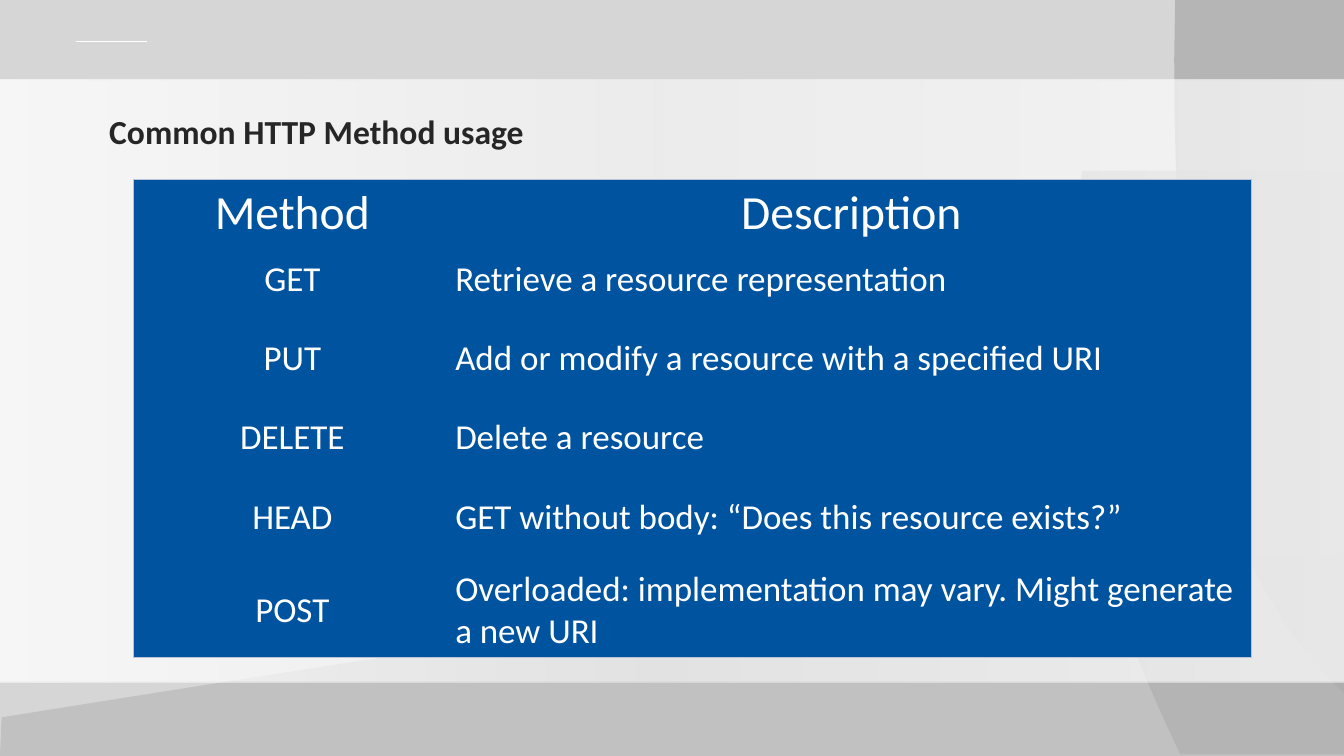
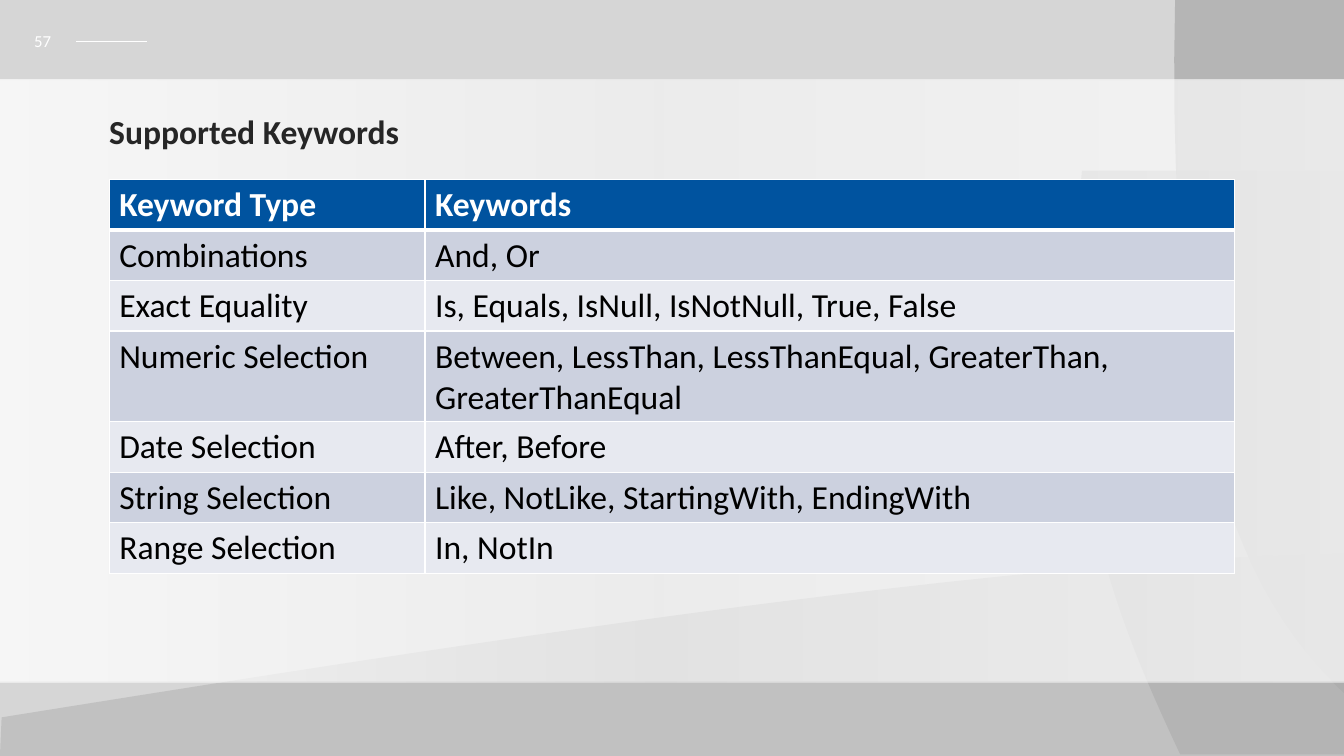
"""Build two slides with styled tables on a shared geometric layout."""
import pptx
import pptx.dml.color
import pptx.enum.shapes
import pptx.enum.text
import pptx.oxml
import pptx.oxml.ns
import pptx.util

RGBColor = pptx.dml.color.RGBColor
PP_ALIGN = pptx.enum.text.PP_ALIGN
MIDDLE = pptx.enum.text.MSO_ANCHOR.MIDDLE
TOP = pptx.enum.text.MSO_ANCHOR.TOP

WHITE = RGBColor(0xFF, 0xFF, 0xFF)
BLACK = RGBColor(0, 0, 0)
TITLE_INK = RGBColor(0x26, 0x26, 0x26)
BACKDROP = RGBColor(0xD6, 0xD6, 0xD6)
FACET = RGBColor(0xAD, 0xAD, 0xAD)
BLUE = RGBColor(0x00, 0x53, 0x9F)
EDGE = RGBColor(0xBD, 0xC3, 0xD6)
BANDS = (RGBColor(0xE7, 0xE9, 0xF0), RGBColor(0xCC, 0xD1, 0xDF))

FONT = "Calibri"
COLUMNS, ROWS = 160, 90
UNIT = pptx.util.Inches(7.5) / ROWS
NO_TABLE_STYLE = "{2D5ABB26-0587-4C30-8999-92F81FD0307C}"
TITLE_BOX = (13, 9.5, 134, 11.9)
NUMBER_BOX = (2.9, 2.5, 7.4, 4.8)
BAND_BOX = (0, 9.5, COLUMNS, 71.8)
BAND_STOPS = ((0, 71), (39, 58), (51, 53), (100, 79))

FACETS = (
    (80, [(160.2, -0.2)],
     [(160.3, 27.4), (160.3, 55.1), (160.3, 82.8)],
     [(150.7, 73.8), (138.5, 57.1), (139.9, 0)]),
    (60, [(160, 20.3)], [(128.8, 20.3)],
     [(125.6, 55), (131.5, 70.6), (140.5, 89.8)], [(160.2, 89.8)]),
    (50, [(160.6, 65.8)],
     [(118.3, 66.8), (58.7, 76), (0.2, 85.4)], [(0, 90)], [(160.2, 90.2)]),
)

HTTP_METHODS = (
    ("Method", "Description"),
    ("GET", "Retrieve a resource representation"),
    ("PUT", "Add or modify a resource with a specified URI"),
    ("DELETE", "Delete a resource"),
    ("HEAD", "GET without body: “Does this resource exists?”"),
    ("POST", "Overloaded: implementation may vary. Might generate a new URI"),
)
KEYWORDS = (
    ("Keyword Type", "Keywords"),
    ("Combinations", "And, Or"),
    ("Exact Equality", "Is, Equals, IsNull, IsNotNull, True, False"),
    ("Numeric Selection",
     "Between, LessThan, LessThanEqual, GreaterThan, GreaterThanEqual"),
    ("Date Selection", "After, Before"),
    ("String Selection", "Like, NotLike, StartingWith, EndingWith"),
    ("Range Selection", "In, NotIn"),
)


def grid(*lengths):
    """Convert grid lengths to slide lengths."""
    return [pptx.util.Emu(round(length * UNIT)) for length in lengths]


def add_xml(parent, tag, index=None, **attributes):
    """Add a drawing element to its parent, at the end unless an index is given."""
    element = pptx.oxml.parse_xml(f"<{tag} {pptx.oxml.ns.nsdecls('a')}/>")
    for name, value in attributes.items():
        element.set(name, str(value))
    parent.insert(len(parent) if index is None else index, element)
    return element


def add_color(parent, color, alpha=None):
    """Add a colour, optionally with a percentage of opacity."""
    element = add_xml(parent, "a:srgbClr", val=color)
    if alpha is not None:
        add_xml(element, "a:alpha", val=alpha * 1000)


def style_text(paragraph, size, color, bold=False, align=PP_ALIGN.LEFT):
    """Format a paragraph."""
    paragraph.alignment = align
    font = paragraph.font
    font.name, font.size, font.bold = FONT, pptx.util.Pt(size), bold
    font.color.rgb = color


def trace(start, *segments):
    """Return the points of an outline whose three-point segments are curves."""
    points = list(start)
    for segment in segments:
        if len(segment) == 1:
            points += segment
            continue
        anchors = [points[-1], *segment]
        for step in range(1, 25):
            t = step / 24
            weights = ((1 - t) ** 3, 3 * t * (1 - t) ** 2,
                       3 * t * t * (1 - t), t ** 3)
            points.append(tuple(
                sum(weight * anchor[axis]
                    for weight, anchor in zip(weights, anchors))
                for axis in (0, 1)))
    return points


def finish_shape(shape, color=None):
    """Drop the outline and shadow, and fill the shape if a colour is given."""
    shape.line.fill.background()
    shape.shadow.inherit = False
    if color is not None:
        shape.fill.solid()
        shape.fill.fore_color.rgb = color


def add_facet(slide, opacity, outline):
    """Add a translucent grey facet."""
    first, *others = [grid(*point) for point in trace(*outline)]
    builder = slide.shapes.build_freeform(*first, scale=1.0)
    builder.add_line_segments(others, close=True)
    shape = builder.convert_to_shape()
    finish_shape(shape, FACET)
    for color in shape.element.spPr.xpath("./a:solidFill/a:srgbClr"):
        add_xml(color, "a:alpha", val=opacity * 1000)


def draw_backdrop(slide):
    """Draw the backdrop, facets, pale band and number rule."""
    rectangle = pptx.enum.shapes.MSO_SHAPE.RECTANGLE
    finish_shape(
        slide.shapes.add_shape(rectangle, *grid(0, 0, COLUMNS, ROWS)), BACKDROP)
    for opacity, *outline in FACETS:
        add_facet(slide, opacity, outline)

    band = slide.shapes.add_shape(rectangle, *grid(*BAND_BOX))
    finish_shape(band)
    gradient = add_xml(band.element.spPr, "a:gradFill", 2, rotWithShape=1)
    stops = add_xml(gradient, "a:gsLst")
    for position, opacity in BAND_STOPS:
        add_color(add_xml(stops, "a:gs", pos=position * 1000), WHITE, opacity)
    add_xml(gradient, "a:lin", ang=180 * 60000, scaled=0)

    rule = slide.shapes.add_connector(
        pptx.enum.shapes.MSO_CONNECTOR.STRAIGHT, *grid(9.1, 4.9, 17.5, 4.9))
    rule.line.color.rgb = WHITE
    rule.line.width = pptx.util.Pt(0.5)
    add_xml(rule.element.spPr, "a:effectLst")


def prepare_layout(layout, slide):
    """Move the backdrop into the layout and place the layout's title."""
    for placeholder in list(layout.placeholders):
        if placeholder.placeholder_format.idx:
            layout.shapes.element.remove(placeholder.element)
        else:
            (placeholder.left, placeholder.top,
             placeholder.width, placeholder.height) = grid(*TITLE_BOX)
    draw_backdrop(slide)
    for shape in list(slide.shapes):
        if not shape.is_placeholder:
            layout.shapes.element.append(shape.element)


def fill_title(slide, text):
    """Write the slide title."""
    frame = slide.shapes.title.text_frame
    frame.text = text
    frame.auto_size = pptx.enum.text.MSO_AUTO_SIZE.NONE
    frame.vertical_anchor = MIDDLE
    frame.margin_left, frame.margin_top, frame.margin_right, frame.margin_bottom = (
        grid(0, 1, 2.4, 0))
    paragraph = frame.paragraphs[0]
    paragraph.line_spacing = 0.9
    style_text(paragraph, 24, TITLE_INK, bold=True)


def add_number(slide, number):
    """Write the slide number beside the rule."""
    frame = slide.shapes.add_textbox(*grid(*NUMBER_BOX)).text_frame
    frame.word_wrap = True
    frame.vertical_anchor = MIDDLE
    frame.text = number
    style_text(frame.paragraphs[0], 12, WHITE)


def format_cell(cell, color, borders, anchor=TOP):
    """Fill a cell and draw its left, right, top and bottom borders."""
    cell.fill.solid()
    cell.fill.fore_color.rgb = color
    cell.vertical_anchor = anchor
    properties = cell._tc.get_or_add_tcPr()
    for index, (side, border) in enumerate(zip("LRTB", borders)):
        if border is None:
            add_xml(add_xml(properties, f"a:ln{side}", index, w=0), "a:noFill")
        else:
            line_color, width = border
            line = add_xml(properties, f"a:ln{side}", index,
                           w=pptx.util.Pt(width))
            add_color(add_xml(line, "a:solidFill"), line_color)


def add_table(slide, origin, widths, heights, content):
    """Add an unstyled table with its text and return it."""
    frame = slide.shapes.add_table(
        len(heights), len(widths), *grid(*origin, sum(widths), sum(heights)))
    frame.element.xpath(".//a:tableStyleId")[0].text = NO_TABLE_STYLE
    table = frame.table
    table.horz_banding = False
    for column, width in zip(table.columns, grid(*widths)):
        column.width = width
    for row, height, texts in zip(table.rows, grid(*heights), content):
        row.height = height
        for cell, text in zip(row.cells, texts):
            cell.text = text
    return table


def add_method_table(slide):
    """Add the solid blue table of HTTP methods."""
    table = add_table(slide, (15.9, 21.4), (37.8, 95.3),
                      (7.9, 7.9, 11, 7.9, 11, 11), HTTP_METHODS)
    edge = (EDGE, 0.5)
    last = len(HTTP_METHODS) - 1
    for row_index, row in enumerate(table.rows):
        for column_index, cell in enumerate(row.cells):
            sides = (column_index == 0, column_index == 1,
                     row_index == 0, row_index == last)
            format_cell(cell, BLUE, [edge if side else None for side in sides],
                        MIDDLE)
            cell.margin_left, cell.margin_right, cell.margin_top, cell.margin_bottom = (
                grid(0.5, 0.5, 0.5, 0.5))
            centered = row_index == 0 or column_index == 0
            style_text(cell.text_frame.paragraphs[0],
                       25 if row_index else 34, WHITE,
                       align=PP_ALIGN.CENTER if centered else PP_ALIGN.LEFT)


def add_keyword_table(slide):
    """Add the banded table of keywords."""
    table = add_table(slide, (13, 21.4), (37.6, 96.4),
                      [4.9] * len(KEYWORDS), KEYWORDS)
    thin, thick = (WHITE, 1), (WHITE, 3)
    for index, row in enumerate(table.rows):
        header = index == 0
        borders = (thin, thin, thick if index == 1 else thin,
                   thick if header else thin)
        for cell in row.cells:
            format_cell(cell, BLUE if header else BANDS[index % 2], borders)
            style_text(cell.text_frame.paragraphs[0], 24,
                       WHITE if header else BLACK, bold=header)


def main():
    """Build and save the presentation."""
    presentation = pptx.Presentation()
    presentation.slide_width, presentation.slide_height = grid(COLUMNS, ROWS)
    layout = presentation.slide_layouts.get_by_name("Title Only")

    method_slide = presentation.slides.add_slide(layout)
    prepare_layout(layout, method_slide)
    fill_title(method_slide, "Common HTTP Method usage")
    add_method_table(method_slide)

    keyword_slide = presentation.slides.add_slide(layout)
    fill_title(keyword_slide, "Supported Keywords")
    add_number(keyword_slide, "57")
    add_keyword_table(keyword_slide)

    presentation.save("out.pptx")


if __name__ == "__main__":
    main()
